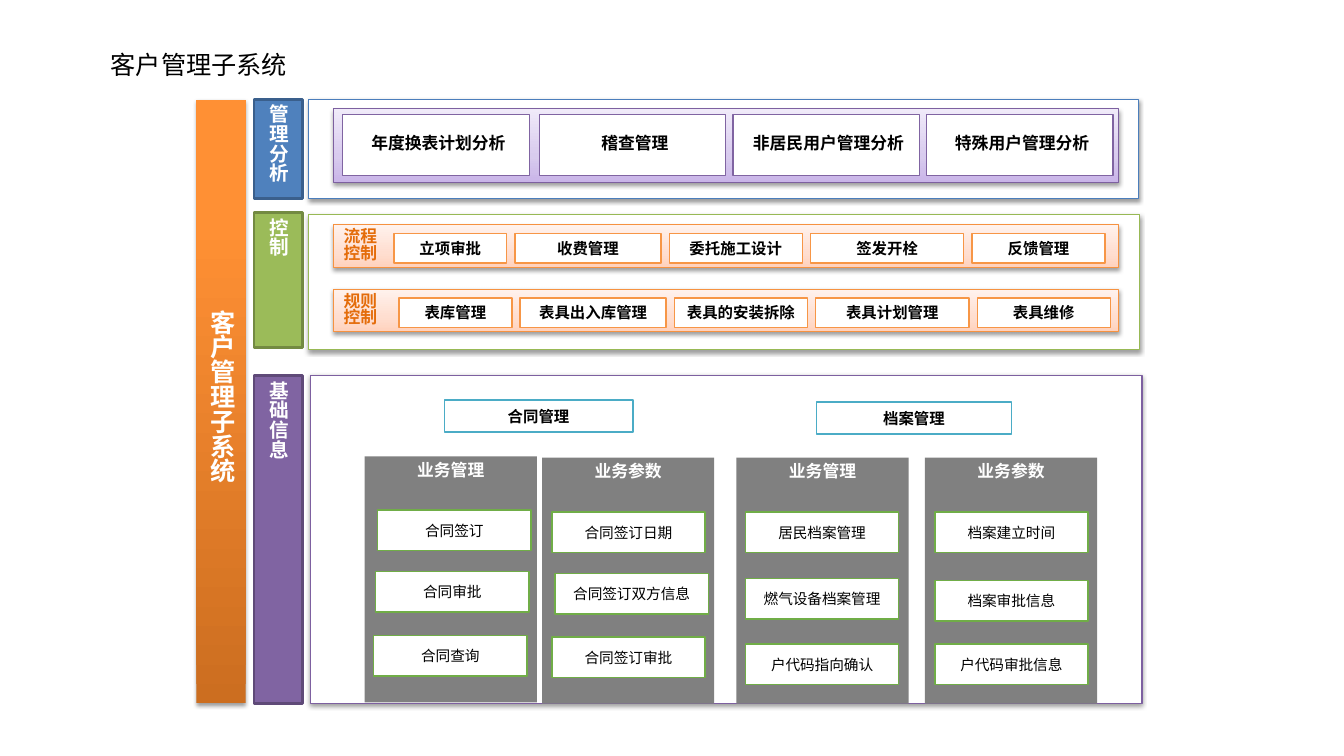
from dataclasses import dataclass

from lxml import etree
from pptx import Presentation
from pptx.dml.color import RGBColor
from pptx.enum.shapes import MSO_SHAPE
from pptx.enum.text import MSO_ANCHOR, MSO_AUTO_SIZE, PP_ALIGN
from pptx.oxml.ns import qn
from pptx.util import Cm, Pt

RECTANGLE = MSO_SHAPE.RECTANGLE
TOP, MIDDLE = MSO_ANCHOR.TOP, MSO_ANCHOR.MIDDLE
LEFT, CENTER = PP_ALIGN.LEFT, PP_ALIGN.CENTER
NO_AUTOSIZE = MSO_AUTO_SIZE.NONE


@dataclass(frozen=True)
class Theme:
    font: str = "Noto Sans CJK SC"
    group_font: str = "Noto Sans CJK KR"
    column_font: str = "Arial"
    white: str = "FFFFFF"
    black: str = "000000"
    blue: tuple = ("4F81BD", "3A5F8C", "4B7EBC")  # tab fill, tab edge, panel edge
    green: tuple = ("9BBB59", "738A42", "98B955")
    purple: tuple = ("8064A2", "5F4A78", "7D60A0")
    orange: str = "F79646"
    orange_edge: str = "F69240"
    orange_text: str = "E46C0A"
    teal: str = "4BACC6"
    grey: str = "808080"
    leaf: str = "70AD47"
    bar_gradient: tuple = ((0, "CC6E20"), (80, "FF9034"), (100, "FF9136"))
    purple_gradient: tuple = ((0, "C9B5E8"), (35, "D8CBEE"), (100, "F0EAF9"))
    orange_gradient: tuple = ((0, "FFD2BD"), (35, "FFDED0"), (100, "FFF2ED"))
    title_size: float = 18
    tab_size: float = 14
    card_size: float = 12
    chip_size: float = 11
    item_size: float = 10.5
    stacked_spacing: float = 0.82


THEME = Theme()
WIDE_INSETS = (0.25, 0.13, 0.13, 0.25)
SIDE_INSETS = (0.25, 0, 0.25, 0)


# Shared drawing helpers; every box is (left, top, width, height) in cm
def inner(box, left, top, width, height):
    return box[0] + left, box[1] + top, width, height


def write_text(shape, text, size, color=THEME.black, bold=True, font=THEME.font,
               align=CENTER, anchor=MIDDLE, insets=(0, 0, 0, 0), wrap=True, spacing=None):
    frame = shape.text_frame
    frame.text = text
    margins = dict(zip(("margin_left", "margin_top", "margin_right", "margin_bottom"),
                       map(Cm, insets)))
    for name, value in {**margins, "auto_size": NO_AUTOSIZE, "word_wrap": wrap,
                        "vertical_anchor": anchor}.items():
        setattr(frame, name, value)
    east_asian = THEME.font if font == THEME.column_font else font
    for para in frame.paragraphs:
        para.alignment = align
        if spacing:
            para.line_spacing = spacing
        for span in para.runs:
            for name, value in {"name": font, "size": Pt(size), "bold": bold}.items():
                setattr(span.font, name, value)
            span.font.color.rgb = RGBColor.from_string(color)
            latin = span.font._element.find(qn("a:latin"))
            face = etree.Element(qn("a:ea"), typeface=east_asian)
            latin.addnext(face)


def fill_gradient(shape, stops):
    shape.fill.gradient()
    shape.fill.gradient_angle = 90
    stop_list = shape._element.spPr.find(qn("a:gradFill")).find(qn("a:gsLst"))
    stop_list.clear()
    for position, color in stops:
        stop = etree.SubElement(stop_list, qn("a:gs"), pos=str(position * 1000))
        etree.SubElement(stop, qn("a:srgbClr"), val=color)


def add_shadow(shape):
    effects = shape._element.spPr.find(qn("a:effectLst"))
    shadow = etree.SubElement(effects, qn("a:outerShdw"), blurRad=str(Pt(3.1)),
                              dist=str(Pt(1.6)), dir="5400000", rotWithShape="0")
    color = etree.SubElement(shadow, qn("a:srgbClr"), val=THEME.black)
    etree.SubElement(color, qn("a:alpha"), val="38000")


def add_block(page, box, fill=THEME.white, line=None, weight=1, shadow=False):
    shape = page.shapes.add_shape(RECTANGLE, *map(Cm, box))
    shape.shadow.inherit = False
    if isinstance(fill, tuple):
        fill_gradient(shape, fill)
    else:
        shape.fill.solid()
        shape.fill.fore_color.rgb = RGBColor.from_string(fill)
    if line:
        shape.line.color.rgb = RGBColor.from_string(line)
        shape.line.width = Pt(weight)
    else:
        shape.line.fill.background()
    if shadow:
        add_shadow(shape)
    return shape


# Title and the bar on the left
def add_title(page, box, text):
    title = page.shapes.title
    for name, value in zip(("left", "top", "width", "height"), box):
        setattr(title, name, Cm(value))
    write_text(title, text, THEME.title_size, bold=False, align=LEFT, insets=SIDE_INSETS)


def add_system_bar(page, box, text):
    bar = add_block(page, box, THEME.bar_gradient, shadow=True)
    write_text(bar, text, THEME.title_size, THEME.white, insets=WIDE_INSETS,
               spacing=THEME.stacked_spacing)


# A coloured tab with its framed panel
def add_section(page, tab_box, panel_box, label, colors, weight=0.75):
    fill, edge, frame = colors
    tab = add_block(page, tab_box, fill, edge, 2)
    write_text(tab, label, THEME.tab_size, THEME.white, wrap=False,
               insets=(0.25, 0.13, 0.25, 0.13))
    tab.text_frame._txBody.bodyPr.set("vert", "eaVert")
    add_block(page, panel_box, line=frame, weight=weight, shadow=True)


# Strip of analysis cards
def add_analysis(page, box, cards):
    add_block(page, box, THEME.purple_gradient, THEME.purple[2], 0.75, shadow=True)
    for left, text in cards:
        card = add_block(page, inner(box, left, 0.14, 4.7, 1.55), line=THEME.purple[0])
        write_text(card, text, THEME.card_size, insets=WIDE_INSETS)


# Strip of control chips behind a stacked label
def add_control(page, box, label, start, chips):
    strip = add_block(page, box, THEME.orange_gradient, THEME.orange_edge, 0.75, shadow=True)
    write_text(strip, label, THEME.card_size, THEME.orange_text, align=LEFT,
               insets=SIDE_INSETS, spacing=THEME.stacked_spacing)
    left, gap = start, 0.21
    for text, width in zip(chips, (2.84, 3.68, 3.35, 3.86, 3.35)):
        chip = add_block(page, inner(box, left, 0.22, width, 0.74), line=THEME.orange)
        write_text(chip, text, THEME.chip_size)
        left += width + gap


# Group heading and grey column with its items
def add_group_heading(page, box, text):
    heading = add_block(page, box, line=THEME.teal)
    write_text(heading, text, THEME.chip_size, font=THEME.group_font)


def add_column(page, box, heading, items):
    column = add_block(page, box, THEME.grey)
    write_text(column, heading, THEME.card_size, THEME.white, font=THEME.column_font,
               anchor=TOP, insets=(0.25, 0.08, 0.25, 0.13))
    for text, left, top in items:
        item = add_block(page, inner(box, left, top, 3.86, 1.02), line=THEME.leaf)
        write_text(item, text, THEME.item_size, bold=False)


def main():
    deck = Presentation()
    deck.slide_width, deck.slide_height = Cm(33.87), Cm(19.05)
    page = deck.slides.add_slide(deck.slide_layouts[5])
    add_title(page, (2.54, 1.12, 13.31, 1.02), "客户管理子系统")
    add_system_bar(page, (4.95, 2.51, 1.24, 15.21), "客户管理子系统")

    # Management analysis
    add_section(page, (6.4, 2.51, 1.22, 2.49), (7.77, 2.51, 20.93, 2.49),
                "管理分析", THEME.blue)
    add_analysis(page, (8.41, 2.74, 19.79, 1.85), (
        (0.23, "年度换表计划分析"), (5.18, "稽查管理"),
        (10.06, "非居民用户管理分析"), (14.94, "特殊用户管理分析")))

    # Control
    add_section(page, (6.4, 5.36, 1.22, 3.4), (7.77, 5.41, 20.96, 3.4),
                "控制", THEME.green)
    add_control(page, (8.41, 5.67, 19.79, 1.07), "流程\n控制", 1.52,
                ("立项审批", "收费管理", "委托施工设计", "签发开栓", "反馈管理"))
    add_control(page, (8.41, 7.29, 19.79, 1.07), "规则\n控制", 1.65,
                ("表库管理", "表具出入库管理", "表具的安装拆除", "表具计划管理", "表具维修"))

    # Basic information
    panel = (7.82, 9.47, 20.96, 8.26)
    add_section(page, (6.4, 9.47, 1.22, 8.26), panel, "基础信息", THEME.purple, 1)
    add_group_heading(page, inner(panel, 3.38, 0.61, 4.75, 0.81), "合同管理")
    add_group_heading(page, inner(panel, 12.75, 0.66, 4.93, 0.81), "档案管理")
    columns = (
        (1.37, 2.03, "业务管理", (("合同签订", 0.33, 1.35), ("合同审批", 0.28, 2.9),
                              ("合同查询", 0.23, 4.52))),
        (5.84, 2.06, "业务参数", (("合同签订日期", 0.25, 1.37), ("合同签订双方信息", 0.33, 2.92),
                              ("合同签订审批", 0.25, 4.52))),
        (10.74, 2.06, "业务管理", (("居民档案管理", 0.23, 1.37), ("燃气设备档案管理", 0.23, 3.05),
                               ("户代码指向确认", 0.23, 4.7))),
        (15.49, 2.06, "业务参数", (("档案建立时间", 0.25, 1.37), ("档案审批信息", 0.25, 3.1),
                               ("户代码审批信息", 0.25, 4.7))),
    )
    for left, top, heading, items in columns:
        add_column(page, inner(panel, left, top, 4.34, 6.2), heading, items)

    deck.save("out.pptx")


if __name__ == "__main__":
    main()
